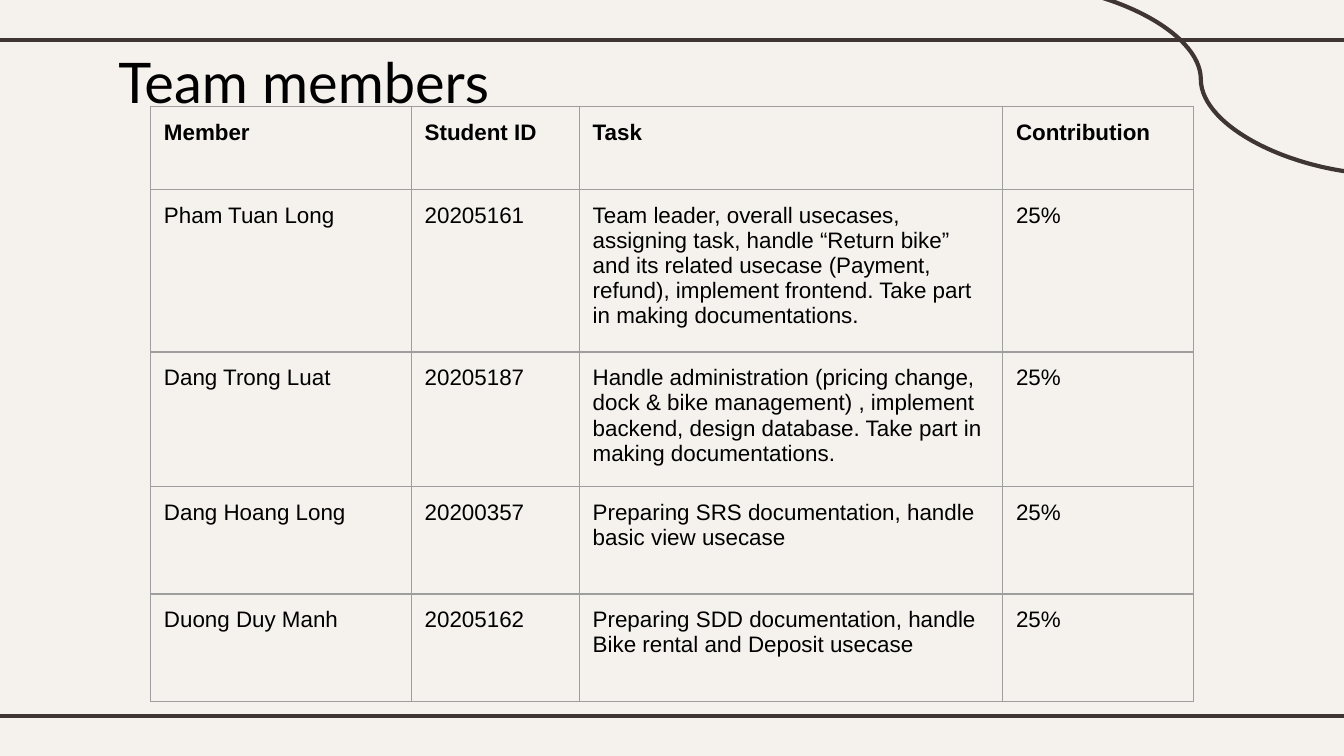
from lxml import etree
from pptx import Presentation
from pptx.dml.color import RGBColor
from pptx.enum.shapes import MSO_CONNECTOR
from pptx.enum.text import MSO_ANCHOR, MSO_AUTO_SIZE, PP_ALIGN
from pptx.oxml.ns import qn
from pptx.util import Inches, Pt

STRAIGHT, CURVE = MSO_CONNECTOR.STRAIGHT, MSO_CONNECTOR.CURVE
TOP, LEFT = MSO_ANCHOR.TOP, PP_ALIGN.LEFT
NO_AUTOFIT = MSO_AUTO_SIZE.NONE

CREAM = RGBColor(0xF5, 0xF2, 0xEE)
BROWN = RGBColor(0x3F, 0x35, 0x33)
BLACK = RGBColor(0, 0, 0)
GREY = RGBColor(0x9E, 0x9E, 0x9E)

SLIDE_WIDTH = 10
SLIDE_HEIGHT = SLIDE_WIDTH * 9 / 16
INSET = Inches(0.1)
COLUMN_WIDTHS = [1.94, 1.25, 3.15, 1.42]
ROW_HEIGHTS = [0.62, 1.21, 1, 0.8, 0.8]
MEMBERS = [
    ("Member", "Student ID", "Task", "Contribution"),
    ("Pham Tuan Long", "20205161",
     "Team leader, overall usecases, assigning task, handle “Return bike” and its "
     "related usecase (Payment, refund), implement frontend. Take part in making "
     "documentations.", "25%"),
    ("Dang Trong Luat", "20205187",
     "Handle administration (pricing change, dock & bike management) , implement "
     "backend, design database. Take part in making documentations.", "25%"),
    ("Dang Hoang Long", "20200357",
     "Preparing SRS documentation, handle basic view usecase", "25%"),
    ("Duong Duy Manh", "20205162",
     "Preparing SDD documentation, handle Bike rental and Deposit usecase", "25%"),
]


def style_text(text_frame, font_name, size, bold=False):
    for paragraph in text_frame.paragraphs:
        paragraph.alignment = LEFT
        for run in paragraph.runs:
            run.font.name = font_name
            run.font.size = Pt(size)
            run.font.bold = bold
            run.font.color.rgb = BLACK


def add_rule(slide, kind, start, end):
    rule = slide.shapes.add_connector(kind, *map(Inches, (*start, *end)))
    rule.line.color.rgb = BROWN
    rule.line.width = Pt(2.25)
    etree.SubElement(rule._element.spPr, qn("a:effectLst"))


def add_frame(slide, left, top, width, height):
    right = left + width
    for y in (top, top + height):
        add_rule(slide, STRAIGHT, (left, y), (right, y))
    add_rule(slide, CURVE, (right - 2.55, top - 0.42), (right + 0.26, top + 1))


def place_title(slide, left, top, width, height):
    title = slide.shapes.title
    title.left, title.top = Inches(left), Inches(top)
    title.width, title.height = Inches(width), Inches(height)
    frame = title.text_frame
    frame.text = "Team members"
    frame.word_wrap = True
    frame.auto_size = NO_AUTOFIT
    frame.vertical_anchor = TOP
    frame.margin_left = frame.margin_right = INSET
    frame.margin_top = frame.margin_bottom = INSET
    style_text(frame, "Lato", 30)


def add_borders(cell):
    properties = cell._tc.get_or_add_tcPr()
    for position, side in enumerate(("a:lnL", "a:lnR", "a:lnT", "a:lnB")):
        border = etree.Element(qn(side), w=str(Pt(0.75)))
        fill = etree.SubElement(border, qn("a:solidFill"))
        etree.SubElement(fill, qn("a:srgbClr"), val=str(GREY))
        properties.insert(position, border)


def add_members_table(slide, left, top):
    table = slide.shapes.add_table(
        len(MEMBERS), len(COLUMN_WIDTHS), Inches(left), Inches(top),
        Inches(sum(COLUMN_WIDTHS)), Inches(sum(ROW_HEIGHTS))).table
    table.horz_banding = False
    for column, width in zip(table.columns, COLUMN_WIDTHS):
        column.width = Inches(width)
    for row, height, member in zip(table.rows, ROW_HEIGHTS, MEMBERS):
        row.height = Inches(height)
        for cell, value in zip(row.cells, member):
            cell.text_frame.text = value
            cell.vertical_anchor = TOP
            cell.margin_left = cell.margin_right = INSET
            cell.margin_top = cell.margin_bottom = INSET
            cell.fill.background()
            add_borders(cell)
            style_text(cell.text_frame, "Arial", 12, bold=member is MEMBERS[0])


def main():
    presentation = Presentation()
    presentation.slide_width = Inches(SLIDE_WIDTH)
    presentation.slide_height = Inches(SLIDE_HEIGHT)
    slide = presentation.slides.add_slide(presentation.slide_layouts[5])
    slide.background.fill.solid()
    slide.background.fill.fore_color.rgb = CREAM
    add_frame(slide, -0.08, 0.3, SLIDE_WIDTH + 0.16, 5.03)
    place_title(slide, 0.78, 0.25, 5.15, 0.63)
    add_members_table(slide, 1.12, 0.79)
    presentation.save("out.pptx")


if __name__ == "__main__":
    main()
